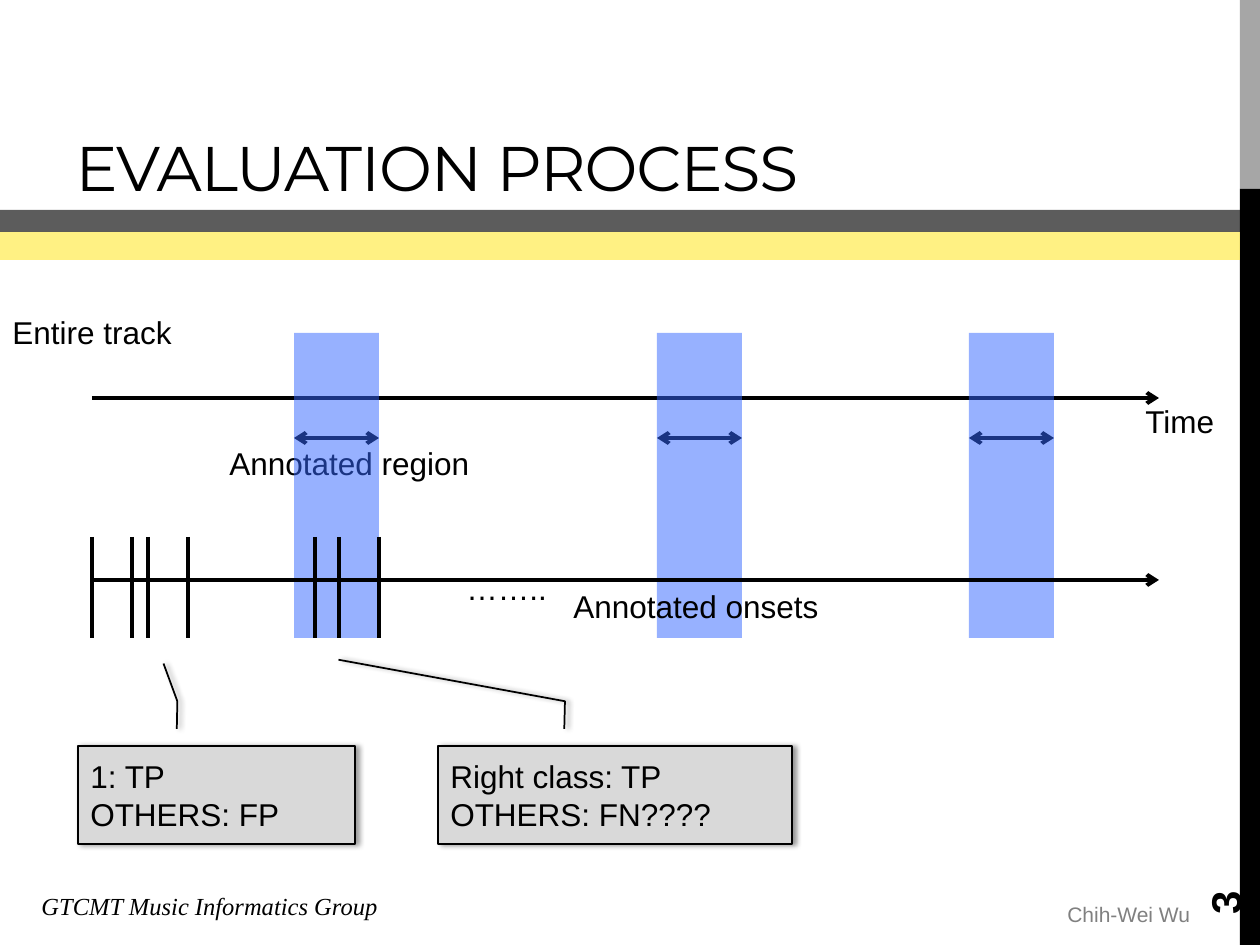
from lxml import etree
from pptx import Presentation
from pptx.dml.color import RGBColor
from pptx.enum.shapes import MSO_CONNECTOR, MSO_SHAPE
from pptx.enum.text import MSO_ANCHOR, PP_ALIGN
from pptx.oxml import parse_xml
from pptx.oxml.ns import qn
from pptx.util import Pt

PX = 914400 // 126
RECTANGLE = MSO_SHAPE.RECTANGLE
CALLOUT = MSO_SHAPE.LINE_CALLOUT_2
STRAIGHT = MSO_CONNECTOR.STRAIGHT
LEFT = PP_ALIGN.LEFT
MIDDLE, BOTTOM = MSO_ANCHOR.MIDDLE, MSO_ANCHOR.BOTTOM
DRAWING_NS = "http://schemas.openxmlformats.org/drawingml/2006/main"
SHADOW = (f'<a:effectLst xmlns:a="{DRAWING_NS}">'
          '<a:outerShdw blurRad="39370" dist="22860" dir="0" rotWithShape="0">'
          '<a:srgbClr val="000000"><a:alpha val="40000"/></a:srgbClr>'
          '</a:outerShdw></a:effectLst>')


def color(hex_string):
    """Turn a hex string into a colour."""
    return RGBColor.from_string(hex_string)


def style_text(frame, lines, size, font="Arial", ink="000000", bold=False, italic=False):
    """Write left-aligned lines that share one font."""
    frame.text = "\n".join(lines)
    for paragraph in frame.paragraphs:
        paragraph.alignment = LEFT
        paragraph.font.name = font
        paragraph.font.size = Pt(size)
        paragraph.font.color.rgb = color(ink)
        paragraph.font.bold = bold
        paragraph.font.italic = italic


prs = Presentation()
prs.slide_width, prs.slide_height = 1260 * PX, 945 * PX
slide = prs.slides.add_slide(prs.slide_layouts[5])
shapes = slide.shapes

# Title
title = shapes.title
title.left, title.top, title.width, title.height = 63 * PX, 21 * PX, 906 * PX, 189 * PX
style_text(title.text_frame, ["EVALUATION PROCESS"], 36, "Montserrat")
title.text_frame.vertical_anchor = BOTTOM
title.text_frame.paragraphs[0].runs[0].font._element.set("spc", "-60")

# Areas and lines, back to front; the labels under the bands come first
AXIS_LEFT, AXIS_RIGHT = 92, 1159
TRACK_Y, REGION_Y, ONSET_Y = 398, 438, 580
BAND_TOP, BAND_WIDTH, BAND_BOTTOM = 333, 85, 638
region_lefts = [294, 657, 969]
onset_xs = [92, 132, 148, 188, 315, 339, 379]

background_areas = [
    (1240, 0, 20, 189, "A6A6A6", 100),
    (1240, 189, 20, 756, "000000", 100),
    (-3, 232, 1243, 28, "FFE93B", 63),
    (-3, 210, 1243, 22, "000000", 64),
]
region_areas = [(x, BAND_TOP, BAND_WIDTH, BAND_BOTTOM - BAND_TOP, "3366FF", 51)
                for x in region_lefts]
background_lines = [(AXIS_LEFT, TRACK_Y, AXIS_RIGHT, TRACK_Y, ["tailEnd"])]
background_lines += [(x, REGION_Y, x + BAND_WIDTH, REGION_Y, ["headEnd", "tailEnd"])
                     for x in region_lefts]
onset_lines = [(x, 537, x, BAND_BOTTOM, []) for x in onset_xs]
onset_lines.append((AXIS_LEFT, ONSET_Y, AXIS_RIGHT, ONSET_Y, ["tailEnd"]))

background_labels = [
    (29, 885, 372, 43, "GTCMT Music Informatics Group", 14, "Times New Roman", "000000", True),
    (1055, 895, 150, 38, "Chih-Wei Wu", 12, "Arial", "808080", False),
    (0, 307, 186, 50, "Entire track", 18, "Arial", "000000", False),
    (217, 438, 270, 50, "Annotated region", 18, "Arial", "000000", False),
]
front_labels = [
    (1133, 396, 95, 50, "Time", 18, "Arial", "000000", False),
    (454, 563, 107, 50, "……..", 18, "Arial", "000000", False),
    (561, 581, 275, 50, "Annotated onsets", 18, "Arial", "000000", False),
]

layers = [
    (background_areas, background_lines, background_labels),
    (region_areas, onset_lines, front_labels),
]
for areas, lines, labels in layers:
    for x, y, width, height, fill, opacity in areas:
        area = shapes.add_shape(RECTANGLE, x * PX, y * PX, width * PX, height * PX)
        area.shadow.inherit = False
        area.fill.solid()
        area.fill.fore_color.rgb = color(fill)
        area.line.fill.background()
        if opacity < 100:
            tint = area._element.spPr.find(qn("a:solidFill"))[0]
            etree.SubElement(tint, qn("a:alpha"), val=str(opacity * 1000))
    for x1, y1, x2, y2, arrow_ends in lines:
        line = shapes.add_connector(STRAIGHT, x1 * PX, y1 * PX, x2 * PX, y2 * PX)
        line.line.color.rgb = color("000000")
        line.line.width = Pt(2.25)
        for end in arrow_ends:
            etree.SubElement(line.line._get_or_add_ln(), qn(f"a:{end}"), type="arrow")
        etree.SubElement(line._element.spPr, qn("a:effectLst"))
    for x, y, width, height, text, size, font, ink, italic in labels:
        label = shapes.add_textbox(x * PX, y * PX, width * PX, height * PX)
        label.text_frame.word_wrap = False
        style_text(label.text_frame, [text], size, font, ink, italic=italic)

# Page number, turned along the right edge
page_number = shapes.add_textbox(1134 * PX, 811 * PX, 181 * PX, 50 * PX)
page_number.rotation = 270
page_number.text_frame.word_wrap = True
page_number.text_frame.vertical_anchor = MIDDLE
style_text(page_number.text_frame, ["3"], 24, bold=True)

# Scoring rules, each pointing at its onsets
scoring_rules = [
    (78, 277, ["1: TP", "OTHERS: FP"], (-0.841, 0.309)),
    (438, 354, ["Right class: TP", "OTHERS: FN????"], (-0.88, -0.281)),
]
for x, width, lines, pointer_tip in scoring_rules:
    rule = shapes.add_shape(CALLOUT, x * PX, 746 * PX, width * PX, 98 * PX)
    for index, value in enumerate((-0.174, 0.357, -0.456, 0.359, *pointer_tip)):
        rule.adjustments[index] = value
    rule.fill.solid()
    rule.fill.fore_color.rgb = color("D9D9D9")
    rule.line.color.rgb = color("000000")
    rule.line.width = Pt(1)
    rule._element.spPr.append(parse_xml(SHADOW))
    rule.text_frame.vertical_anchor = MIDDLE
    style_text(rule.text_frame, lines, 18)

prs.save("out.pptx")
